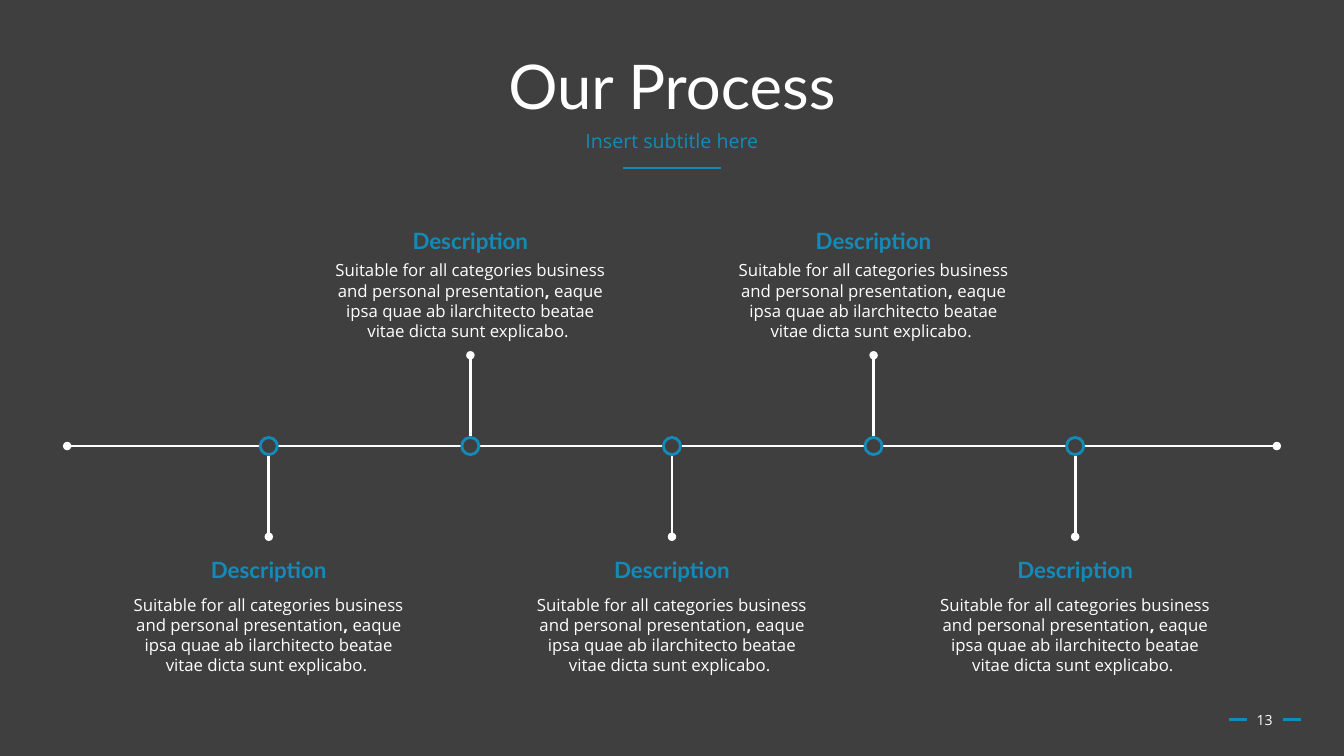
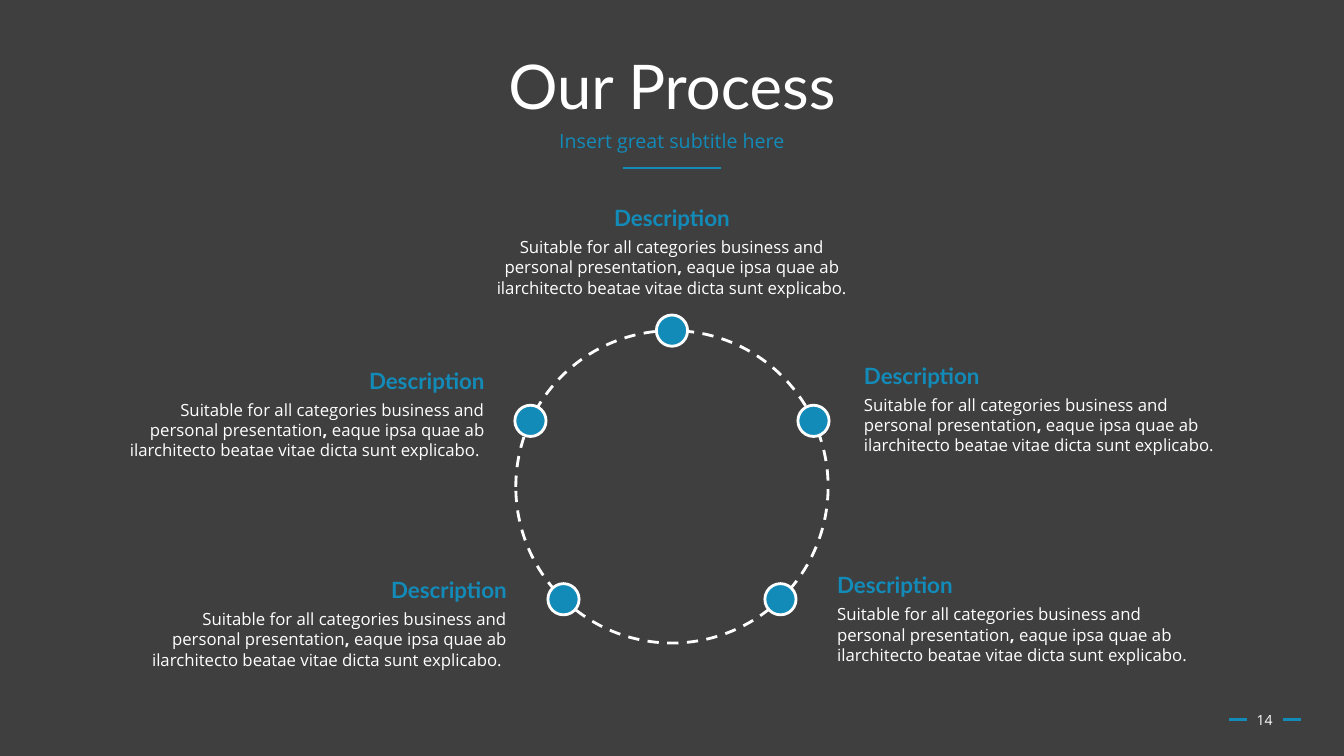
from math import cos, radians, sin

from lxml import etree
from pptx import Presentation
from pptx import util as u
from pptx.dml.color import RGBColor
from pptx.enum import dml, shapes, text
from pptx.oxml.ns import qn

WIDE, HIGH = 13.34, 7.5
COL, ROW = WIDE / 20, HIGH / 20
DARK, BLUE, WHITE = "3F3F3F", "138BB9", "FFFFFF"
HEAD, BODY = "Lato", "Open Sans"
LEFT, MID, RIGHT = text.PP_ALIGN.LEFT, text.PP_ALIGN.CENTER, text.PP_ALIGN.RIGHT
SHARE = {LEFT: 0, MID: 0.5, RIGHT: 1}
WORDS = (
    "Suitable for all categories business and personal presentation",
    ",",
    " eaque ipsa quae ab ilarchitecto beatae vitae dicta sunt explicabo. ",
)


def rgb(code):
    return RGBColor.from_string(code)


def write(slide, x, y, w, h, parts, font, size, color, side=MID,
          bold=(), space=1, middle=False):
    """Put text at grid point x, y, which is the box's left, centre or right by side."""
    box = slide.shapes.add_textbox(
        u.Inches((x - w * SHARE[side]) * COL), u.Inches(y * ROW),
        u.Inches(w * COL), u.Inches(h * ROW))
    frame = box.text_frame
    frame.word_wrap = True
    frame.vertical_anchor = text.MSO_ANCHOR.MIDDLE if middle else text.MSO_ANCHOR.TOP
    para = frame.paragraphs[0]
    para.alignment, para.line_spacing = side, space
    for i, part in enumerate(parts):
        run = para.add_run()
        run.text = part
        run.font.name, run.font.size = font, u.Pt(size)
        run.font.color.rgb, run.font.bold = rgb(color), i in bold


# Lines: x1, y1, x2, y2, color, points, round ends (grid units)
frame_lines = [
    (9.27, 4.45, 10.73, 4.45, BLUE, 1.75, ()),
    (18.29, 19.04, 18.56, 19.04, BLUE, 1.75, ()),
    (19.1, 19.04, 19.36, 19.04, BLUE, 1.75, ()),
]

# Timeline: nodes every third column, stems going down and up in turn
axis = 11.8
path_lines = [(1, axis, 19, axis, WHITE, 2, ("headEnd", "tailEnd"))]
path_rings, path_notes = [], []
for i in range(5):
    x = 4 + 3 * i
    way = -1 if i % 2 else 1
    path_lines.append((x, axis + way * 0.27, x, axis + way * 2.4, WHITE, 2, ("tailEnd",)))
    path_rings.append((x * COL, axis * ROW, 0.17, DARK, BLUE, False))
    top, gap = (5.89, 0.86) if i % 2 else (14.59, 1.01)
    path_notes.append((x, top, gap, 4.38, 2.4, MID))

# Cycle: rings are x, y, diameter in inches, fill, line, dashed
cx, cy, rad = WIDE / 2, 4.83, 1.55
loop_rings = [(cx, cy, 2 * rad, None, WHITE, True)]
for deg in (90, 155, 25, 226, -46):
    loop_rings.append((cx + rad * cos(radians(deg)), cy - rad * sin(radians(deg)),
                       0.31, BLUE, WHITE, False))
loop_notes = [
    (10, 5.28, 0.86, 5.52, 1.87, MID),
    (12.71, 9.44, 0.86, 5.67, 1.87, LEFT),
    (12.31, 14.99, 0.86, 5.67, 1.87, LEFT),
    (7.36, 9.57, 0.86, 5.71, 1.87, RIGHT),
    (7.69, 15.12, 0.86, 5.71, 1.87, RIGHT),
]

pages = [
    ("13", "Insert subtitle here", path_lines, path_rings, path_notes),
    ("14", "Insert great subtitle here", [], loop_rings, loop_notes),
]

deck = Presentation()
deck.slide_width, deck.slide_height = u.Inches(WIDE), u.Inches(HIGH)
back = deck.slide_master.background.fill
back.solid()
back.fore_color.rgb = rgb(DARK)

for num, sub, lines, rings, notes in pages:
    slide = deck.slides.add_slide(deck.slide_layouts[6])
    write(slide, 10, 1.07, 17.24, 2.61, ["Our Process"], HEAD, 44, WHITE,
          space=0.9, middle=True)
    write(slide, 10, 3.36, 17.24, 1.07, [sub], BODY, 14, BLUE, space=0.9)
    write(slide, 18.82, 18.51, 0.88, 1.07, [num], BODY, 10, WHITE, middle=True)

    for x1, y1, x2, y2, color, size, ends in frame_lines + lines:
        line = slide.shapes.add_connector(
            shapes.MSO_CONNECTOR.STRAIGHT, u.Inches(x1 * COL), u.Inches(y1 * ROW),
            u.Inches(x2 * COL), u.Inches(y2 * ROW))
        line.line.color.rgb, line.line.width = rgb(color), u.Pt(size)
        props = line._element.spPr
        for end in ends:
            etree.SubElement(props.find(qn("a:ln")), qn("a:" + end), type="oval")
        etree.SubElement(props, qn("a:effectLst"))

    for x, y, size, fill, color, dash in rings:
        ring = slide.shapes.add_shape(
            shapes.MSO_SHAPE.OVAL, u.Inches(x - size / 2), u.Inches(y - size / 2),
            u.Inches(size), u.Inches(size))
        ring.shadow.inherit = False
        ring.line.color.rgb, ring.line.width = rgb(color), u.Pt(2)
        if dash:
            ring.line.dash_style = dml.MSO_LINE.DASH
        if fill:
            ring.fill.solid()
            ring.fill.fore_color.rgb = rgb(fill)
        else:
            ring.fill.background()

    for x, y, gap, w, h, side in notes:
        write(slide, x, y + gap, w, h, WORDS, BODY, 12, WHITE, side, bold=(1,))
        write(slide, x, y, 3.42, 0.99, ["Description"], HEAD, 16, BLUE, side, bold=(0,))

deck.save("out.pptx")
